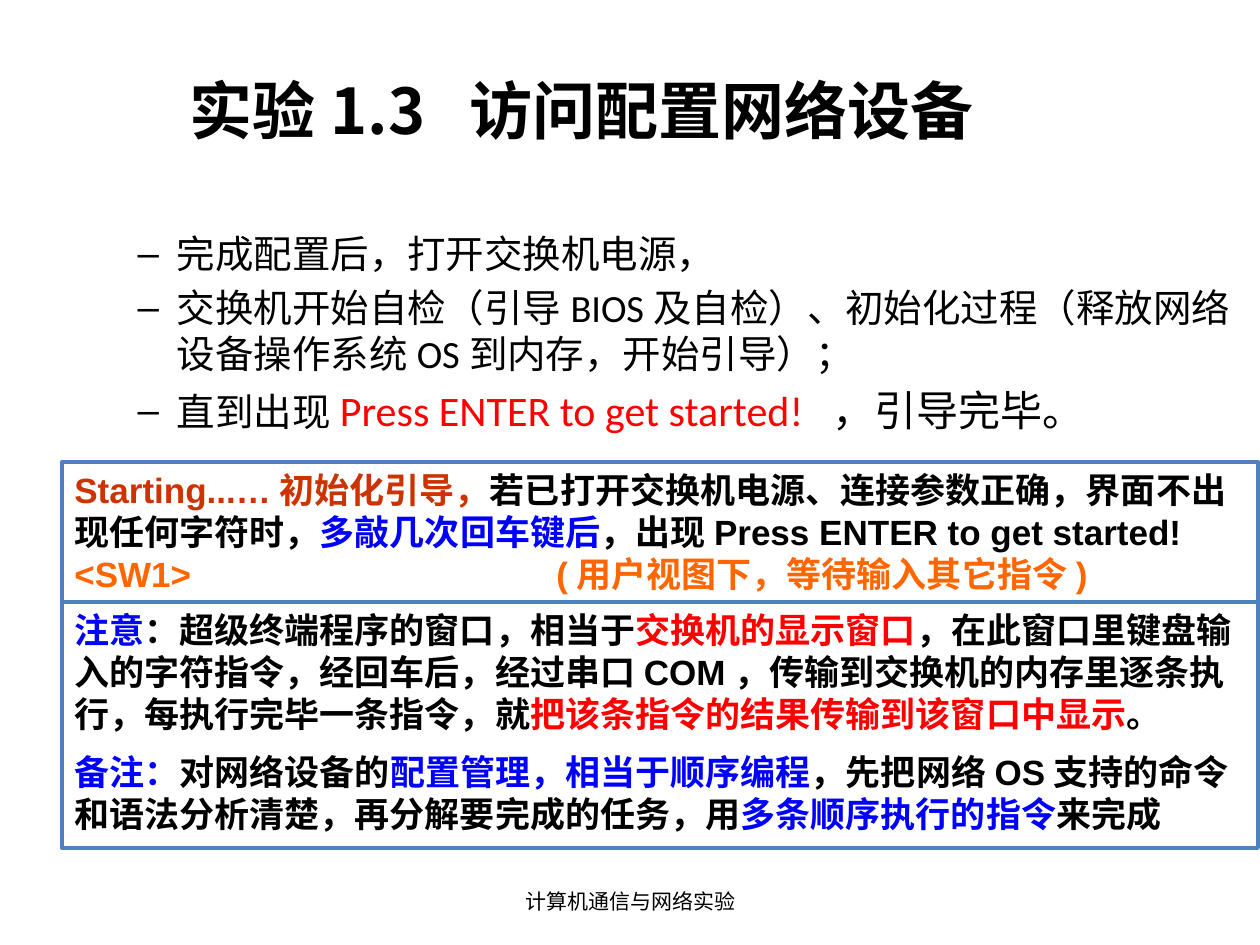
from lxml import etree
from pptx import Presentation
from pptx import util as u
from pptx.dml.color import RGBColor
from pptx.enum import shapes, text
from pptx.oxml import ns

BLACK = RGBColor(0, 0, 0)
RED = RGBColor(255, 0, 0)
BLUE = RGBColor(0, 0, 255)
RUST = RGBColor(204, 51, 0)
ORANGE = RGBColor(255, 102, 0)
STEEL = RGBColor(79, 129, 189)

LEFT, WIDE = 62, 1196

STEPS = [
    [("完成配置后，打开交换机电源，", 22, BLACK)],
    [("交换机开始自检（引导BIOS及自检）、初始化过程（释放网络设备操作系统OS到内存，开始引导）；", 22, BLACK)],
    [("直到出现", 22, BLACK),
     ("Press ENTER to get started!  ", 24, RED),
     ("，引导完毕。", 24, BLACK)],
]
START = [
    [("Starting...…初始化引导，", 20, RUST),
     ("若已打开交换机电源、连接参数正确，界面不出现任何字符时，", 20, BLACK),
     ("多敲几次回车键后", 20, BLUE),
     ("，出现Press ENTER to get started!", 20, BLACK),
     None,
     ("<SW1>\t(用户视图下，等待输入其它指令)", 20, ORANGE)],
]
NOTES = [
    [("注意", 20, BLUE),
     ("：超级终端程序的窗口，相当于", 20, BLACK),
     ("交换机的显示窗口", 20, RED),
     ("，在此窗口里键盘输入的字符指令，经回车后，经过串口COM，传输到交换机的内存里逐条执行，每执行完毕一条指令，就", 20, BLACK),
     ("把该条指令的结果传输到该窗口中显示", 20, RED),
     ("。", 20, BLACK)],
    [("备注：", 20, BLUE),
     ("对网络设备的", 20, BLACK),
     ("配置管理，相当于顺序编程", 20, BLUE),
     ("，先把网络OS支持的命令和语法分析清楚，再分解要完成的任务，用", 20, BLACK),
     ("多条顺序执行的指令", 20, BLUE),
     ("来完成", 20, BLACK)],
]


def px(n):
    return u.Emu(round(n * 914400 / 126))


def place(item, left, top, width, height):
    item.left, item.top = px(left), px(top)
    item.width, item.height = px(width), px(height)


def style(run, size, color, face, bold=False):
    font = run.font
    font.size, font.name, font.bold = u.Pt(size), face, bold
    font.color.rgb = color


def write(frame, paras, face, bold=False):
    for i, parts in enumerate(paras):
        para = frame.add_paragraph() if i else frame.paragraphs[0]
        for part in parts:
            if part is None:
                para.add_line_break()
                continue
            words, size, color = part
            run = para.add_run()
            run.text = words
            style(run, size, color, face, bold)
        yield i, para


def add_tab(para, pos):
    tabs = etree.SubElement(para._p.get_or_add_pPr(), ns.qn("a:tabLst"))
    etree.SubElement(tabs, ns.qn("a:tab"), pos=str(px(pos)), algn="l")


def set_title(slide, words):
    title = slide.shapes.title
    place(title, 177, 64, 945, 91)
    frame = title.text_frame
    frame.text = words
    frame.auto_size = text.MSO_AUTO_SIZE.NONE
    frame.vertical_anchor = text.MSO_ANCHOR.MIDDLE
    para = frame.paragraphs[0]
    para.alignment = text.PP_ALIGN.LEFT
    run = para.runs[0]
    face = "Noto Sans CJK SC"
    style(run, 36, BLACK, face, True)
    etree.SubElement(run.font._element, ns.qn("a:ea"), typeface=face)


def set_steps(slide):
    body = slide.placeholders[1]
    place(body, LEFT, 224, WIDE, 238)
    frame = body.text_frame
    frame.auto_size = text.MSO_AUTO_SIZE.NONE
    for i, para in write(frame, STEPS, "Calibri"):
        para.level = 1


def add_panel(slide, top, height, paras):
    box = slide.shapes.add_shape(shapes.MSO_SHAPE.RECTANGLE,
                                 px(LEFT), px(top), px(WIDE), px(height))
    box.shadow.inherit = False
    box.fill.background()
    box.line.color.rgb = STEEL
    box.line.width = u.Pt(2.25)
    frame = box.text_frame
    frame.word_wrap = True
    frame.auto_size = text.MSO_AUTO_SIZE.SHAPE_TO_FIT_TEXT
    frame.vertical_anchor = text.MSO_ANCHOR.TOP
    for i, para in write(frame, paras, "Arial", True):
        para.alignment = text.PP_ALIGN.LEFT
        if i:
            para.space_before = u.Pt(9)
    return frame


def add_foot(slide, words):
    box = slide.shapes.add_textbox(px(431), px(876), px(399), px(50))
    frame = box.text_frame
    frame.word_wrap = True
    frame.vertical_anchor = text.MSO_ANCHOR.MIDDLE
    frame.text = words
    para = frame.paragraphs[0]
    para.alignment = text.PP_ALIGN.CENTER
    style(para.runs[0], 12, BLACK, "Arial")


def main():
    deck = Presentation()
    deck.slide_width, deck.slide_height = u.Inches(10), u.Inches(7.5)
    slide = deck.slides.add_slide(deck.slide_layouts[1])
    set_title(slide, "实验1.3  访问配置网络设备")
    set_steps(slide)
    start = add_panel(slide, 462, 140, START)
    add_tab(start.paragraphs[0], 482)
    add_panel(slide, 602, 246, NOTES)
    add_foot(slide, "计算机通信与网络实验")
    deck.save("out.pptx")


if __name__ == "__main__":
    main()
